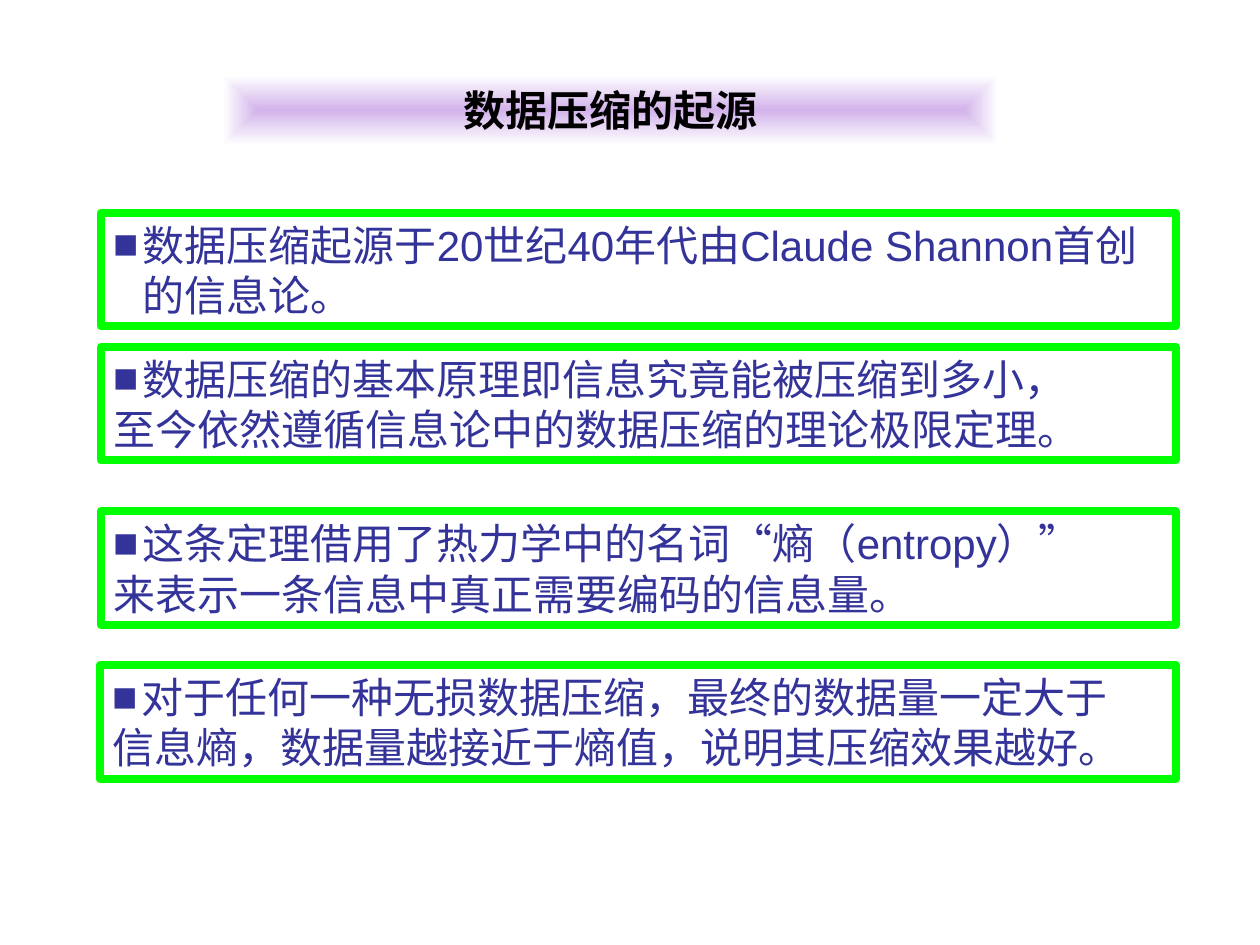
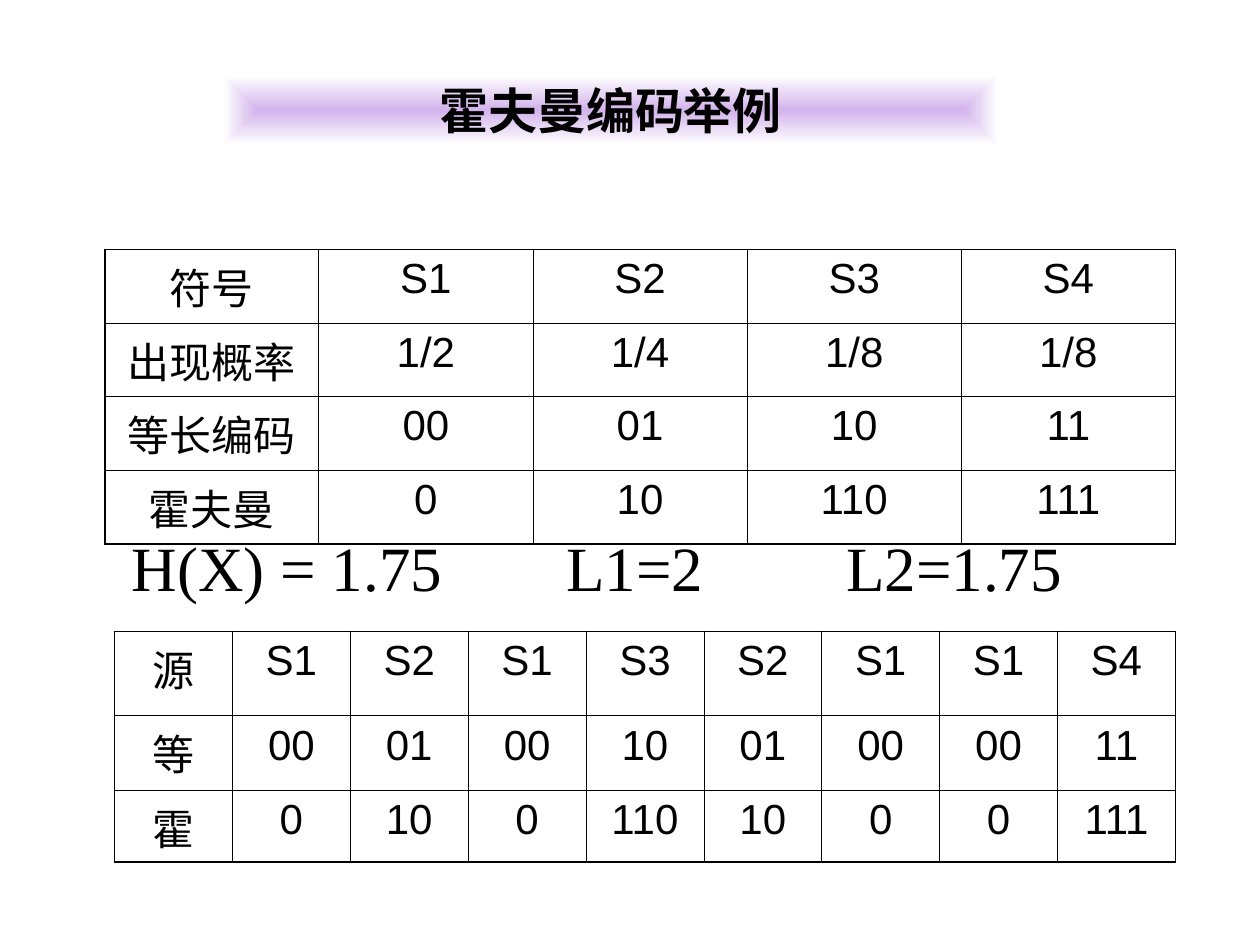
from lxml import etree
from pptx import Presentation
from pptx.dml.color import RGBColor
from pptx.enum.lang import MSO_LANGUAGE_ID
from pptx.enum.shapes import MSO_SHAPE
from pptx.enum.text import MSO_ANCHOR, PP_ALIGN
from pptx.oxml.ns import qn
from pptx.util import Cm, Pt

RECTANGLE = MSO_SHAPE.RECTANGLE
MIDDLE = MSO_ANCHOR.MIDDLE
LEFT, CENTER = PP_ALIGN.LEFT, PP_ALIGN.CENTER
CHINESE = MSO_LANGUAGE_ID.SIMPLIFIED_CHINESE

COLORS = {
    "text": "000000",
    "statement": "333399",
    "frame": "00FF00",
    "band": "D3B3EB",
    "paper": "FFFFFF",
}
SANS, SERIF = "Arial", "Times New Roman"
OUTER_RULE, INNER_RULE = Pt(1.08), Pt(0.45)


def rgb(name):
    return RGBColor.from_string(COLORS[name])


def add_child(parent, tag, **attributes):
    child = etree.SubElement(parent, qn(tag))
    for key, value in attributes.items():
        child.set(key, str(value))
    return child


class Deck:
    def __init__(self):
        self.presentation = Presentation()
        self.presentation.slide_width = Cm(25.4)
        self.presentation.slide_height = Cm(19.05)
        self.slide = None

    def new_slide(self, title, title_size):
        blank = self.presentation.slide_layouts[6]
        self.slide = self.presentation.slides.add_slide(blank)
        self.title_band(title, title_size)

    def add_text(self, paragraph, text, size=24, color="text", font=SANS,
                 bold=False, align=LEFT):
        paragraph.alignment = align
        run = paragraph.add_run()
        run.text = text
        run.font.name = font
        run.font.size = Pt(size)
        run.font.bold = bold
        run.font.color.rgb = rgb(color)
        run.font.language_id = CHINESE

    def rectangle(self, left, top, width, height):
        shape = self.slide.shapes.add_shape(
            RECTANGLE, Cm(left), Cm(top), Cm(width), Cm(height))
        shape.shadow.inherit = False
        shape.text_frame.word_wrap = True
        shape.text_frame.vertical_anchor = MIDDLE
        return shape

    def title_band(self, title, size):
        band = self.rectangle(4.5, 1.52, 15.62, 1.4)
        band.line.fill.background()
        band.fill.gradient()
        for stop, color in zip(band.fill.gradient_stops, ("band", "paper")):
            stop.color.rgb = rgb(color)
        gradient = band.element.spPr.find(qn("a:gradFill"))
        gradient.remove(gradient.find(qn("a:lin")))
        spread = add_child(gradient, "a:path", path="rect")
        add_child(spread, "a:fillToRect", l=50000, t=50000, r=50000, b=50000)
        self.add_text(band.text_frame.paragraphs[0], title, size,
                      bold=True, align=CENTER)

    def statement(self, left, top, width, lines):
        box = self.rectangle(left, top, width, 2.29)
        box.fill.background()
        box.line.color.rgb = rgb("frame")
        box.line.width = Pt(4.5)
        frame = box.text_frame
        for index, line in enumerate(lines):
            paragraph = frame.add_paragraph() if index else frame.paragraphs[0]
            if index == 0:
                self.bullet(paragraph)
            self.add_text(paragraph, line, color="statement")

    def bullet(self, paragraph):
        properties = paragraph._p.get_or_add_pPr()
        properties.set("marL", str(Cm(0.6)))
        properties.set("indent", str(Cm(-0.6)))
        bullet_color = add_child(properties, "a:buClr")
        add_child(bullet_color, "a:srgbClr", val=COLORS["statement"])
        add_child(properties, "a:buFont", typeface=SANS)
        add_child(properties, "a:buChar", char="■")

    def tabbed_text(self, left, top, width, height, entries, tab_stops):
        box = self.slide.shapes.add_textbox(
            Cm(left), Cm(top), Cm(width), Cm(height))
        box.text_frame.word_wrap = True
        paragraph = box.text_frame.paragraphs[0]
        tabs = add_child(paragraph._p.get_or_add_pPr(), "a:tabLst")
        for stop in tab_stops:
            add_child(tabs, "a:tab", pos=Cm(stop), algn="l")
        self.add_text(paragraph, "\t".join(entries), 36, font=SERIF)

    def table(self, left, top, width, row_heights, rows):
        row_count, column_count = len(rows), len(rows[0])
        table = self.slide.shapes.add_table(
            row_count, column_count, Cm(left), Cm(top),
            Cm(width), Cm(sum(row_heights))).table
        table.first_row = table.horz_banding = False
        for column in table.columns:
            column.width = Cm(width / column_count)
        for r, (height, entries) in enumerate(zip(row_heights, rows)):
            table.rows[r].height = Cm(height)
            for c, entry in enumerate(entries):
                cell = table.cell(r, c)
                self.add_text(cell.text_frame.paragraphs[0], entry,
                              align=CENTER)
                self.borders(cell, {
                    "a:lnL": c == 0,
                    "a:lnR": c == column_count - 1,
                    "a:lnT": r == 0,
                    "a:lnB": r == row_count - 1,
                })
                cell.fill.background()

    def borders(self, cell, outer_sides):
        properties = cell._tc.get_or_add_tcPr()
        for side, is_outer in outer_sides.items():
            rule = add_child(properties, side,
                             w=OUTER_RULE if is_outer else INNER_RULE)
            fill = add_child(rule, "a:solidFill")
            add_child(fill, "a:srgbClr", val=COLORS["text"])


def main():
    deck = Deck()

    deck.new_slide("数据压缩的起源", 24)
    statements = [
        (2.03, 4.29, 21.67,
         ["数据压缩起源于20世纪40年代由Claude Shannon首创的信息论。"]),
        (2.03, 6.99, 21.67,
         ["数据压缩的基本原理即信息究竟能被压缩到多小，",
          "至今依然遵循信息论中的数据压缩的理论极限定理。"]),
        (2.03, 10.31, 21.67,
         ["这条定理借用了热力学中的名词“熵（entropy）”",
          "来表示一条信息中真正需要编码的信息量。"]),
        (2.01, 13.41, 21.69,
         ["对于任何一种无损数据压缩，最终的数据量一定大于",
          "信息熵，数据量越接近于熵值，说明其压缩效果越好。"]),
    ]
    for left, top, width, lines in statements:
        deck.statement(left, top, width, lines)

    deck.new_slide("霍夫曼编码举例", 28)
    deck.table(2.11, 5.03, 21.59, [1.27] * 4, [
        ["符号", "S1", "S2", "S3", "S4"],
        ["出现概率", "1/2", "1/4", "1/8", "1/8"],
        ["等长编码", "00", "01", "10", "11"],
        ["霍夫曼", "0", "10", "110", "111"],
    ])
    deck.tabbed_text(2.41, 10.52, 20.85, 1.78,
                     ["H(X) = 1.75", "L1=2", "L2=1.75"], [8.76, 14.4])
    equal_length = {"S1": "00", "S2": "01", "S3": "10", "S4": "11"}
    huffman = {"S1": "0", "S2": "10", "S3": "110", "S4": "111"}
    source = ["S1", "S2", "S1", "S3", "S2", "S1", "S1", "S4"]
    deck.table(2.31, 12.73, 21.39, [1.7, 1.5, 1.45], [
        ["源", *source],
        ["等", *(equal_length[symbol] for symbol in source)],
        ["霍", *(huffman[symbol] for symbol in source)],
    ])

    deck.presentation.save("out.pptx")


if __name__ == "__main__":
    main()
